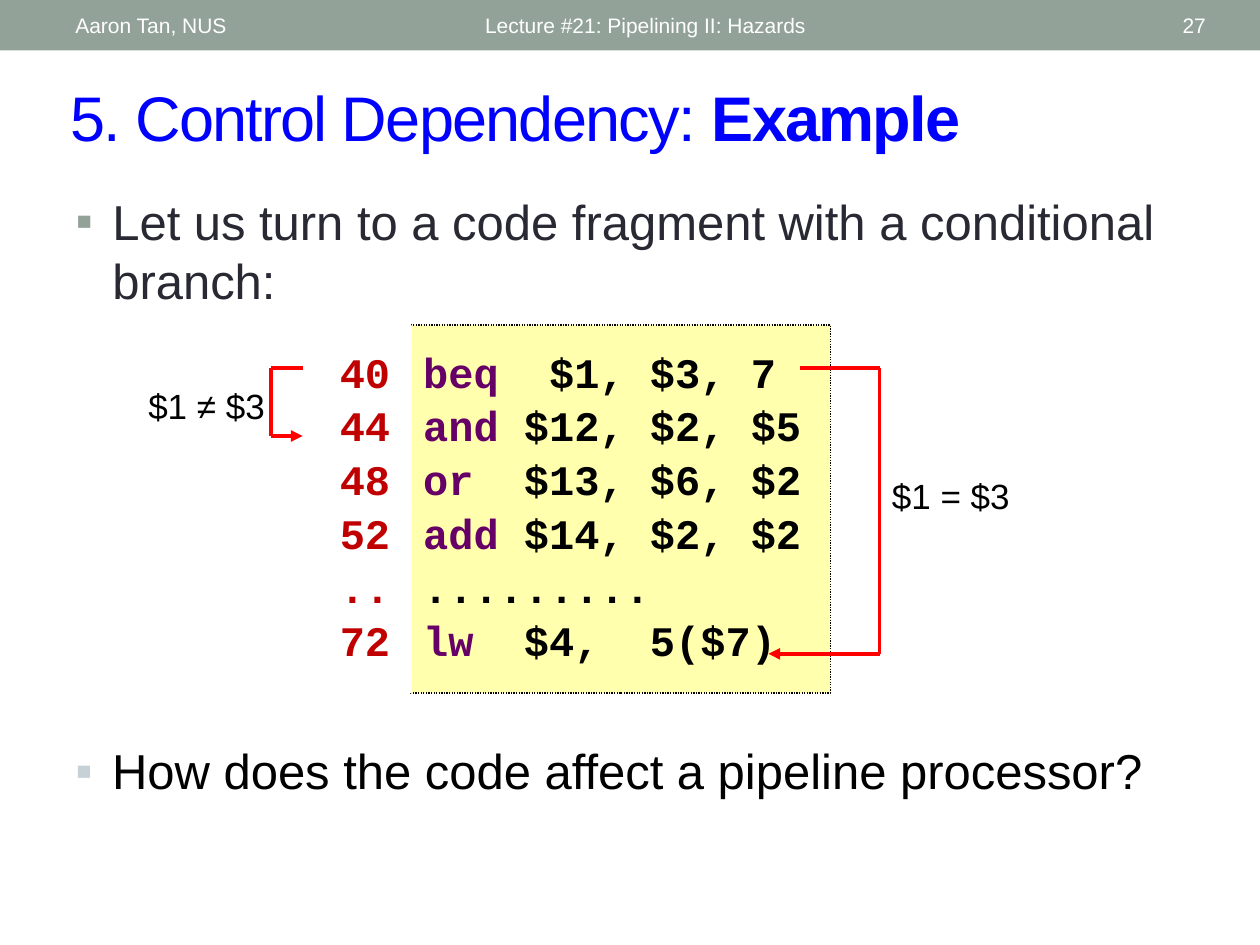
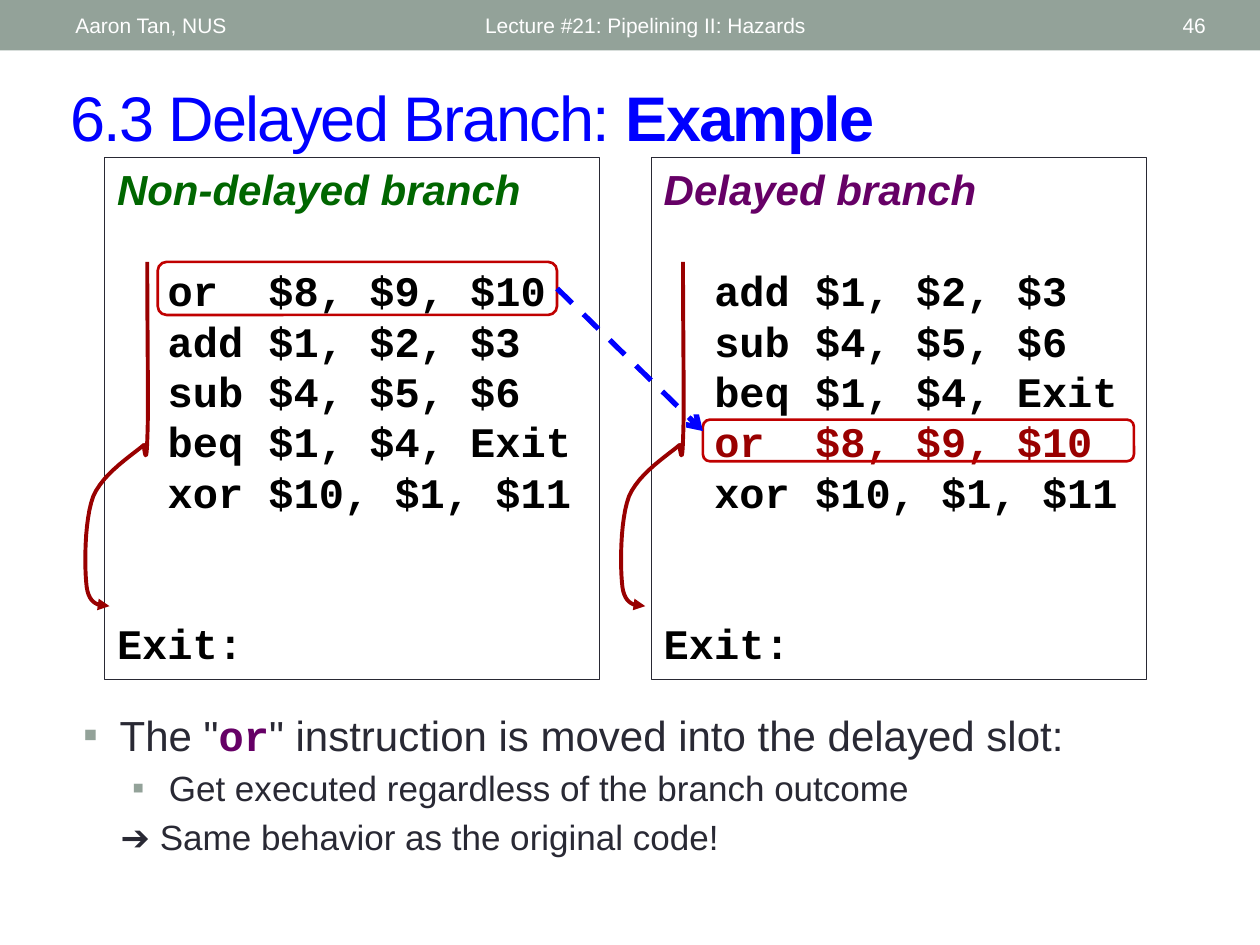
from lxml.etree import SubElement
from pptx import Presentation
from pptx.dml.color import RGBColor as Rgb
from pptx.enum.dml import MSO_LINE as Dash
from pptx.enum.shapes import MSO_CONNECTOR as Link, MSO_SHAPE as Kind
from pptx.enum.text import MSO_ANCHOR as Anchor, MSO_AUTO_SIZE as Auto, PP_ALIGN as Align
from pptx.oxml.ns import qn
from pptx.util import Cm, Pt

SAGE = Rgb(0x93, 0xA2, 0x99)
MIST = Rgb(0xC5, 0xD1, 0xD7)
WHITE = Rgb(0xFF, 0xFF, 0xFF)
BLACK = Rgb(0, 0, 0)
INK = Rgb(0x29, 0x29, 0x34)
BLUE = Rgb(0, 0, 0xFF)
RED = Rgb(0xFF, 0, 0)
BRICK = Rgb(0xC0, 0, 0)
MAROON = Rgb(0x99, 0, 0)
PLUM = Rgb(0x66, 0, 0x66)
GREEN = Rgb(0, 0x66, 0)
CREAM = Rgb(0xFF, 0xFF, 0xAD)

# Text styles
HEAD = dict(name="Arial", size=Pt(36), color=BLUE)
FOOT = dict(name="Arial", size=Pt(12), color=WHITE)
BIG = dict(name="Arial", size=Pt(28), color=INK)
MID = dict(BIG, size=Pt(24))
SMALL = dict(BIG, size=Pt(20))
NOTE = dict(SMALL, color=BLACK)
CODE = dict(name="Courier New", size=Pt(24), bold=True, color=BLACK)
WORD = dict(CODE, color=PLUM)
ADDR = dict(CODE, color=BRICK)
MOVED = dict(CODE, color=MAROON)
LABEL = dict(MID, bold=True, italic=True)

# Shared places, in cm: left, top, width, height
BAND = (0, 0, 25.4, 1.02)
TITLE = (1.17, 1.45, 23.39, 1.78)
FOOTERS = [
    ("Aaron Tan, NUS", (1.27, 0.05, 8.05, 0.91), Align.LEFT),
    ("Lecture #21: Pipelining II: Hazards", (9.53, 0.05, 11.43, 0.91), Align.LEFT),
]
NUMBER = (22.15, 0.05, 2.41, 0.91)

# Slide 27
INTRO = "Let us turn to a code fragment with a conditional branch:"
ASK = "How does the code affect a pipeline processor?"
LISTING = [
    ("40", "beq", "  $1, $3, 7"),
    ("44", "and", " $12, $2, $5"),
    ("48", "or", "  $13, $6, $2"),
    ("52", "add", " $14, $2, $2"),
    ("..", "", "........."),
    ("72", "lw", "  $4,  5($7)"),
]
CODE_BOX = (8.28, 6.55, 8.46, 7.42)
ADDR_BOX = (6.6, 6.55, 1.7, 7.42)
JUMPS = [  # label, its box, corners of the arrow
    ("$1 = $3", (17.73, 9.45, 2.9, 1.12),
     [(16.13, 7.42), (17.73, 7.42), (17.73, 13.18), (15.49, 13.18)]),
    ("$1 ≠ $3", (2.74, 7.62, 2.87, 1.12),
     [(6.1, 7.42), (5.46, 7.42), (5.46, 8.79), (6.1, 8.79)]),
]

# Slide 46
OR, ADD, SUB = "or  $8, $9, $10", "add $1, $2, $3", "sub $4, $5, $6"
BEQ, XOR = "beq $1, $4, Exit", "xor $10, $1, $11"
PANELS = [  # heading, colour, code, moved line's style, left, shift of the curve
    ("Non-delayed branch", GREEN, [OR, ADD, SUB, BEQ, XOR], CODE, 2.11, 0),
    ("Delayed branch", PLUM, [ADD, SUB, BEQ, OR, XOR], MOVED, 13.13, 10.8),
]
CURVE = [(2.97, 5.28),
         (2.97, 6.78), (3, 8.28), (2.97, 8.89),
         (2.95, 9.5), (2.9, 8.97), (2.9, 8.97),
         (2.72, 9.14), (2.08, 9.53), (1.88, 10.01),
         (1.7, 10.49), (1.7, 11.46), (1.75, 11.84),
         (1.8, 12.19), (2.01, 12.22), (2.21, 12.22)]
STEPS = 12
FROM_BOX = (3.18, 5.28, 8.05, 1.07)
TO_BOX = (14.17, 8.46, 8.69, 0.84)
MOVE_END = (14.17, 8.69)
ROW = 28.8  # height of one code line, pt


def cms(vals):
    return [Cm(val) for val in vals]


def style(font, fmt):
    for key, val in fmt.items():
        if key == "color":
            font.color.rgb = val
        else:
            setattr(font, key, val)


def write(item, paras, anchor=Anchor.TOP, wrap=True):
    """Fill a shape; each paragraph is (runs, options), each run (text, style)."""
    frame = item.text_frame
    for key, val in dict(auto_size=Auto.NONE, word_wrap=wrap,
                         vertical_anchor=anchor).items():
        setattr(frame, key, val)
    for num, (runs, opts) in enumerate(paras):
        para = frame.add_paragraph() if num else frame.paragraphs[0]
        para.alignment = Align.LEFT
        for text, fmt in runs:
            run = para.add_run()
            run.text = text
            style(run.font, fmt)
        for key, val in opts.items():
            if key == "indent":
                indent(para, *val)
            elif key == "bullet":
                bullet(para, val)
            else:
                setattr(para, key, val)


def indent(para, left, first):
    props = para._p.get_or_add_pPr()
    props.set("marL", str(Cm(left)))
    props.set("indent", str(Cm(first)))


def bullet(para, color):
    """Give a square bullet of this colour, or none."""
    props = para._p.get_or_add_pPr()
    if color is None:
        SubElement(props, qn("a:buNone"))
        return
    SubElement(SubElement(props, qn("a:buClr")), qn("a:srgbClr"), val=str(color))
    SubElement(props, qn("a:buFont"), typeface="Arial")
    SubElement(props, qn("a:buChar"), char="▪")


def item(runs, size, left=0.74, first=-0.74, color=SAGE, level=0):
    return runs, dict(level=level, space_before=Pt(size * 0.2),
                      indent=(left, first), bullet=color)


def place(shape, box):
    for key, val in zip(("left", "top", "width", "height"), cms(box)):
        setattr(shape, key, val)


def stroke(shape, color, width, dash=None, head=None):
    line = shape.line
    line.color.rgb = color
    line.width = Pt(width)
    if dash:
        line.dash_style = dash
    if head:
        SubElement(shape.element.spPr.find(qn("a:ln")), qn("a:tailEnd"), type=head)


def draw(slide, box, kind=Kind.RECTANGLE, fill=None):
    shape = slide.shapes.add_shape(kind, *cms(box))
    shape.shadow.inherit = False
    if fill is None:
        shape.fill.background()
    else:
        shape.fill.solid()
        shape.fill.fore_color.rgb = fill
    return shape


def link(slide, start, end, color, width, **look):
    line = slide.shapes.add_connector(Link.STRAIGHT, *cms(start + end))
    SubElement(line.element.spPr, qn("a:effectLst"))
    stroke(line, color, width, **look)
    return line


def note(slide, box, runs, **look):
    write(slide.shapes.add_textbox(*cms(box)), [(runs, {})], **look)


def begin(deck, number, topic, body):
    """Add a slide with title, footers and a placed body; return slide and body."""
    slide = deck.slides.add_slide(deck.slide_layouts[1])
    title, text = slide.placeholders
    place(title, TITLE)
    write(title, [([(topic, HEAD), ("Example", dict(HEAD, bold=True))], {})],
          Anchor.MIDDLE)
    for run in title.text_frame.paragraphs[0].runs:
        run.font._element.set("spc", "-100")
    place(text, body)
    for words, box, align in FOOTERS + [(number, NUMBER, Align.RIGHT)]:
        foot = slide.shapes.add_textbox(*cms(box))
        write(foot, [([(words, FOOT)], {"alignment": align})], Anchor.MIDDLE)
    return slide, text


def share_band(deck, slide):
    """Put the top band on the layout that all slides use."""
    band = draw(slide, BAND, fill=SAGE)
    band.line.fill.background()
    deck.slide_layouts[1].shapes.element.insert(2, band.element)


def control(deck):
    slide, body = begin(deck, "27", "5. Control Dependency: ",
                        (1.27, 3.73, 22.86, 2.62))
    share_band(deck, slide)
    write(body, [item([(INTRO, BIG)], 28)])

    gap = dict(line_spacing=0.9, space_before=Pt(4.8))
    code = [([(op, WORD), (args, CODE if op else WORD)] if op else [(args, CODE)], gap)
            for _, op, args in LISTING]
    spots = [([(spot, ADDR)], gap) for spot, _, _ in LISTING]
    for box, fill, edge, paras in ((CODE_BOX, CREAM, BLACK, code),
                                   (ADDR_BOX, WHITE, WHITE, spots)):
        shape = draw(slide, box, fill=fill)
        stroke(shape, edge, 0.75, Dash.ROUND_DOT)
        write(shape, paras, Anchor.MIDDLE)

    for label, box, path in JUMPS:
        for num, (start, end) in enumerate(zip(path, path[1:])):
            last = num == len(path) - 2
            link(slide, start, end, RED, 2.25, head="triangle" if last else None)
        note(slide, box, [(label, NOTE)], wrap=False)

    ask = slide.shapes.add_textbox(*cms((1.27, 14.81, 22.86, 2.74)))
    write(ask, [item([(ASK, dict(BIG, color=BLACK))], 28, color=MIST)])


def bend(points, shift):
    """Points along a chain of cubic curves, moved right by shift."""
    out = [points[0]]
    for num in range(0, len(points) - 1, 3):
        ends = points[num:num + 4]
        for step in range(1, STEPS + 1):
            t = step / STEPS
            parts = ((1 - t) ** 3, 3 * t * (1 - t) ** 2, 3 * t * t * (1 - t), t ** 3)
            out.append(tuple(sum(p * pt[axis] for p, pt in zip(parts, ends))
                             for axis in (0, 1)))
    return [(Cm(x + shift), Cm(y)) for x, y in out]


def delayed(deck):
    slide, body = begin(deck, "46", "6.3 Delayed Branch: ",
                        (1.42, 14.17, 22.86, 3.28))
    for head, color, code, look, left, shift in PANELS:
        panel = draw(slide, (left, 3.18, 9.98, 10.52))
        stroke(panel, INK, 0.75)
        paras = [([(head, dict(LABEL, color=color))], {})]
        for num, text in enumerate(code):
            opts = dict(indent=(1.02, 0), space_before=Pt(0 if num else ROW))
            paras.append(([(text, look if text == OR else CODE)], opts))
        paras.append(([("Exit:", CODE)], {"space_before": Pt(2 * ROW)}))
        write(panel, paras)

        first, *rest = bend(CURVE, shift)
        form = slide.shapes.build_freeform(*first)
        form.add_line_segments(rest, close=False)
        curve = form.convert_to_shape()
        curve.shadow.inherit = False
        curve.fill.background()
        stroke(curve, MAROON, 2.25, head="triangle")

    source, target = (draw(slide, box, Kind.ROUNDED_RECTANGLE)
                      for box in (FROM_BOX, TO_BOX))
    for frame in (source, target):
        stroke(frame, BRICK, 1.5)
    move = link(slide, (11.23, 5.82), MOVE_END, BLUE, 3, dash=Dash.DASH, head="arrow")
    move.begin_connect(source, 3)

    write(body, [
        item([('The "', MID), ("or", WORD),
              ('" instruction is moved into the delayed slot:', MID)], 24),
        item([("Get executed regardless of the branch outcome", SMALL)], 20,
             left=1.73, level=1),
        item([("➔ Same behavior as the original code!", SMALL)], 20,
             left=1.27, first=-0.51, color=None, level=1),
    ])


def main():
    deck = Presentation()
    deck.slide_width, deck.slide_height = Cm(25.4), Cm(19.05)
    control(deck)
    delayed(deck)
    deck.save("out.pptx")


if __name__ == "__main__":
    main()
